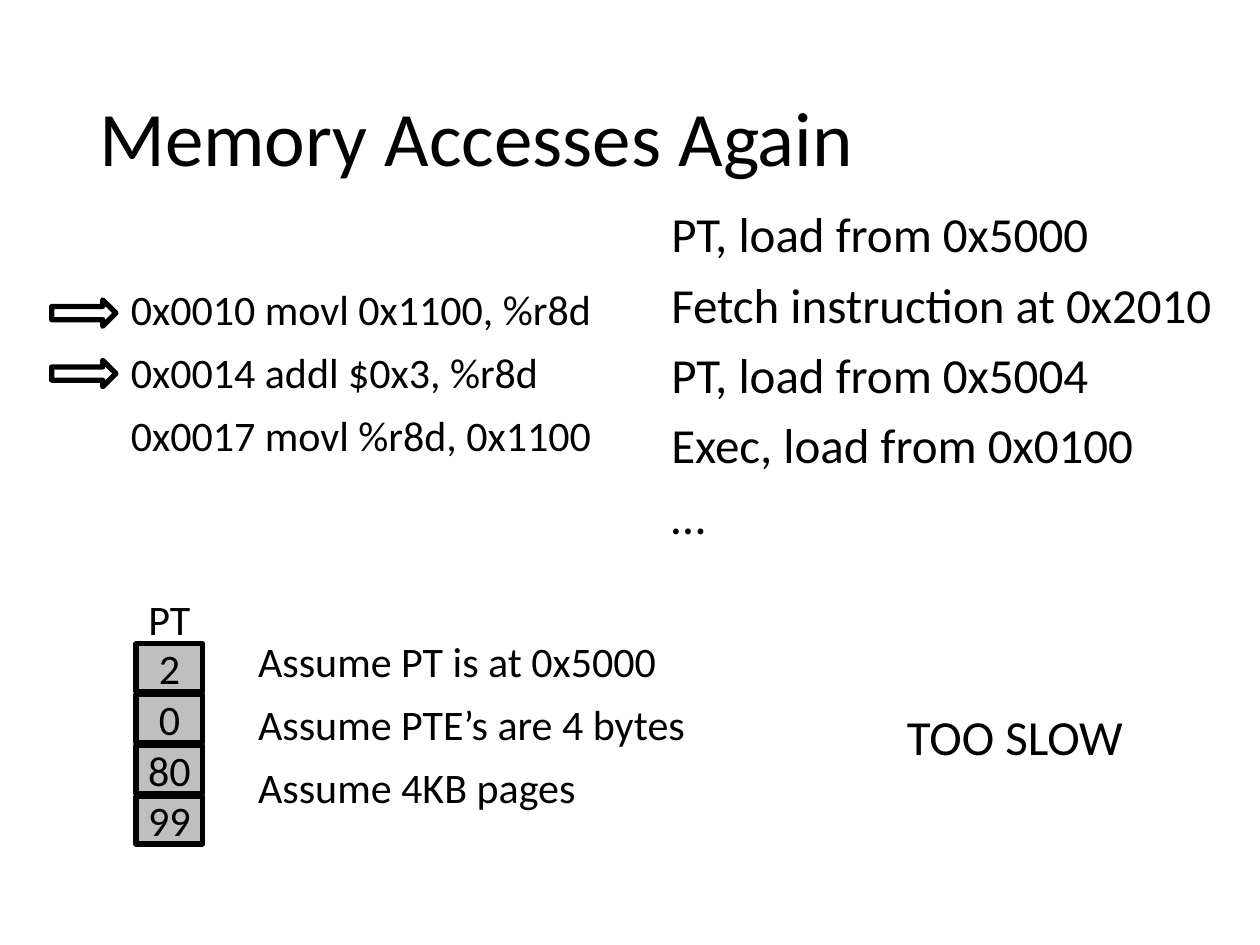
from pptx import Presentation
from pptx.dml.color import RGBColor
from pptx.enum.shapes import MSO_SHAPE
from pptx.enum.text import MSO_ANCHOR, PP_ALIGN
from pptx.util import Inches, Pt

BLACK = RGBColor(0x00, 0x00, 0x00)
GRAY = RGBColor(0xBF, 0xBF, 0xBF)
FONT = "Calibri"
RECTANGLE, RIGHT_ARROW = MSO_SHAPE.RECTANGLE, MSO_SHAPE.RIGHT_ARROW
TOP, MIDDLE = MSO_ANCHOR.TOP, MSO_ANCHOR.MIDDLE
LEFT, CENTER = PP_ALIGN.LEFT, PP_ALIGN.CENTER

TITLE = "Memory Accesses Again"
ACCESSES = [
    "PT, load from 0x5000",
    "Fetch instruction at 0x2010",
    "PT, load from 0x5004",
    "Exec, load from 0x0100",
    "…",
]
INSTRUCTIONS = [
    "0x0010 movl 0x1100, %r8d",
    "0x0014 addl $0x3, %r8d",
    "0x0017 movl %r8d, 0x1100",
]
ASSUMPTIONS = [
    "Assume PT is at 0x5000",
    "Assume PTE’s are 4 bytes",
    "Assume 4KB pages",
]
VERDICT = "TOO SLOW"
PAGE_TABLE_LABEL = "PT"
PAGE_TABLE = ["2", "0", "80", "99"]

# text lines, box (left, top, width, height), size, anchor, space before
TEXT_BLOCKS = [
    ([TITLE], (0.69, 0.4, 8.62, 1.45), 44, MIDDLE, 0),
    (ACCESSES, (5.23, 1.62, 4.51, 4.76), 28, TOP, 10),
    (INSTRUCTIONS, (0.94, 2.25, 4.21, 1.66), 24, TOP, 10),
    (ASSUMPTIONS, (1.95, 5.04, 4.21, 1.66), 24, TOP, 10),
    ([VERDICT], (7.1, 5.61, 2.1, 0.53), 28, TOP, 10),
]
ARROW_COUNT, ARROW_TOP, ARROW_PITCH = 2, 2.38, 0.48
ENTRY_TOP, ENTRY_PITCH = 5.11, 0.403


def write(shape, lines, size, anchor=TOP, align=LEFT, before=0, spacing=1.0):
    frame = shape.text_frame
    frame.word_wrap = True
    frame.vertical_anchor = anchor
    frame.text = "\n".join(lines)
    for paragraph in frame.paragraphs:
        paragraph.alignment = align
        paragraph.line_spacing = spacing
        paragraph.space_before = Pt(before)
        font = paragraph.runs[0].font
        font.name, font.size = FONT, Pt(size)
        font.color.rgb = BLACK


def add_text(shapes, lines, box, size, **style):
    write(shapes.add_textbox(*map(Inches, box)), lines, size, **style)


def add_outlined(shapes, kind, box, fill=None):
    shape = shapes.add_shape(kind, *map(Inches, box))
    shape.shadow.inherit = False
    if fill is None:
        shape.fill.background()
    else:
        shape.fill.solid()
        shape.fill.fore_color.rgb = fill
    shape.line.color.rgb = BLACK
    shape.line.width = Pt(3)
    return shape


def add_page_table(shapes):
    group = shapes.add_group_shape().shapes
    add_text(group, [PAGE_TABLE_LABEL], (1.01, 4.66, 0.67, 0.5), 24, align=CENTER)
    for row, frame_number in enumerate(PAGE_TABLE):
        box = (1.08, ENTRY_TOP + row * ENTRY_PITCH, 0.53, 0.38)
        entry = add_outlined(group, RECTANGLE, box, GRAY)
        write(entry, [frame_number], 24, anchor=MIDDLE, align=CENTER)
        frame = entry.text_frame
        frame.margin_left = frame.margin_right = 0
        frame.margin_top = frame.margin_bottom = 0


def main():
    presentation = Presentation()
    presentation.slide_width = Inches(10)
    presentation.slide_height = Inches(7.5)
    blank_layout = presentation.slide_layouts[6]
    shapes = presentation.slides.add_slide(blank_layout).shapes

    for lines, box, size, anchor, before in TEXT_BLOCKS:
        add_text(shapes, lines, box, size, anchor=anchor, before=before, spacing=0.9)
    for step in range(ARROW_COUNT):
        box = (0.41, ARROW_TOP + step * ARROW_PITCH, 0.51, 0.21)
        add_outlined(shapes, RIGHT_ARROW, box)
    add_page_table(shapes)

    presentation.save("out.pptx")


if __name__ == "__main__":
    main()
